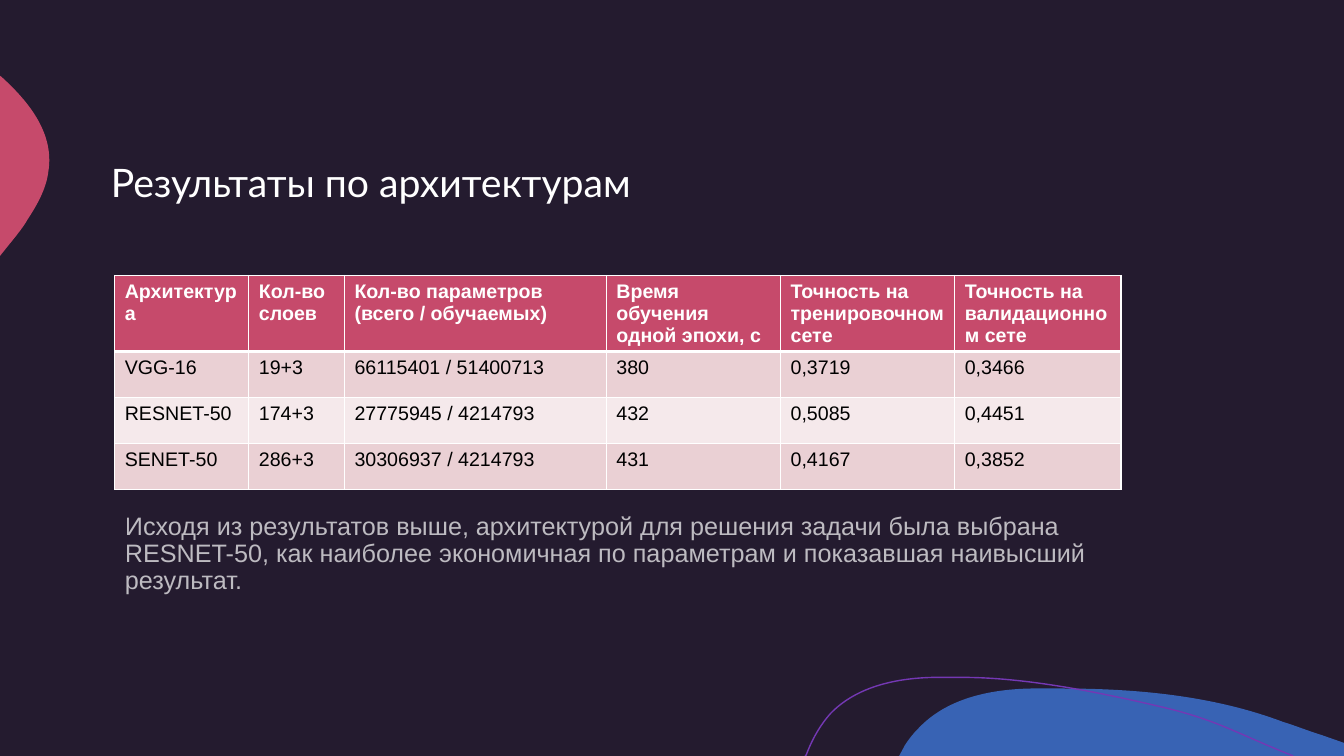
from dataclasses import dataclass

from lxml.etree import Element, SubElement
from pptx import Presentation
from pptx.dml.color import RGBColor
from pptx.enum.text import MSO_ANCHOR, MSO_AUTO_SIZE, PP_ALIGN
from pptx.oxml.ns import qn
from pptx.util import Cm, Pt

NIGHT = RGBColor(0x24, 0x1B, 0x2F)
BLUE = RGBColor(0x38, 0x63, 0xB4)
PINK = RGBColor(0xC6, 0x4A, 0x6B)
PURPLE = RGBColor(0x74, 0x38, 0xB4)
PALE_PINK = RGBColor(0xEA, 0xD0, 0xD4)
LIGHT_PINK = RGBColor(0xF5, 0xE9, 0xEB)
WHITE = RGBColor(0xFF, 0xFF, 0xFF)
BLACK = RGBColor(0x00, 0x00, 0x00)

UNITS_PER_CM = 1000

Point = tuple[float, float]


@dataclass(frozen=True)
class Wave:
    """Outline in cm: one point makes a straight step, three a Bezier curve."""
    start: Point
    steps: list[tuple[Point, ...]]
    fill: RGBColor | None = None
    line: RGBColor | None = None


@dataclass(frozen=True)
class Column:
    width: float
    header: str
    values: tuple[str, str, str]


WAVES = [
    Wave((26.77, 17.35), [
        ((28.65, 17.35), (30.58, 17.53), (32.33, 18.19)),
        ((32.66, 18.29), (32.97, 18.42), (33.3, 18.52)),
        ((33.87, 18.72),), ((33.87, 19.05),), ((22.66, 19.05),), ((22.81, 18.77),),
        ((22.91, 18.62), (23.01, 18.49), (23.14, 18.36)),
        ((23.85, 17.6), (24.94, 17.37), (25.98, 17.35)),
        ((26.24, 17.35), (26.49, 17.35), (26.77, 17.35)),
    ], fill=BLUE),
    Wave((0, 1.91), [
        ((0.03, 1.93),),
        ((0.76, 2.59), (1.37, 3.38), (1.22, 4.32)),
        ((1.17, 4.75), (0.94, 5.16), (0.69, 5.54)),
        ((0.61, 5.69), (0.43, 5.92), (0.2, 6.2)),
        ((0, 6.45),),
    ], fill=PINK),
    Wave((20.29, 19.05), [
        ((20.32, 19.02),),
        ((20.47, 18.62), (20.68, 18.26), (20.93, 17.98)),
        ((21.59, 17.3), (22.58, 17.09), (23.52, 17.07)),
        ((24.26, 17.07),),
        ((25.96, 17.07), (27.94, 17.5), (29.34, 17.83)),
        ((30.71, 18.16), (31.14, 18.47), (32.59, 19.05)),
    ], line=PURPLE),
]

COLUMNS = [
    Column(3.38, "Архитектура", ("VGG-16", "RESNET-50", "SENET-50")),
    Column(2.41, "Кол-во слоев", ("19+3", "174+3", "286+3")),
    Column(6.6, "Кол-во параметров \n(всего / обучаемых)",
           ("66115401 / 51400713", "27775945 / 4214793", "30306937 / 4214793")),
    Column(4.39, "Время обучения одной эпохи, с", ("380", "432", "431")),
    Column(4.39, "Точность на тренировочном сете", ("0,3719", "0,5085", "0,4167")),
    Column(4.19, "Точность на валидационном сете", ("0,3466", "0,4451", "0,3852")),
]
ROW_HEIGHTS = [1.78, 1.16, 1.16, 1.16]
ROW_FILLS = [PINK, PALE_PINK, LIGHT_PINK, PALE_PINK]
HEADER_BORDERS = {"L": 1, "R": 1, "T": 1, "B": 3}

CONCLUSION = (
    "Исходя из результатов выше, архитектурой для решения задачи была выбрана "
    "RESNET-50, как наиболее экономичная по параметрам и показавшая наивысший результат."
)


def write_text(frame, text: str, *, size: float, color: RGBColor, font: str = "Arial",
               bold: bool = False, spacing: float | None = None, opacity: int = 100) -> None:
    para = frame.paragraphs[0]
    para.text = text
    para.alignment = PP_ALIGN.LEFT
    para.line_spacing = spacing
    for span in para.runs:
        span.font.name = font
        span.font.size = Pt(size)
        span.font.bold = bold
        span.font.color.rgb = color
        if opacity < 100:
            tint = span.font._element.find(f".//{qn('a:srgbClr')}")
            SubElement(tint, qn("a:alpha"), val=str(opacity * 1000))


def set_frame(box, left: float, top: float, width: float, height: float) -> None:
    box.left, box.top, box.width, box.height = Cm(left), Cm(top), Cm(width), Cm(height)
    frame = box.text_frame
    frame.word_wrap = True
    frame.auto_size = MSO_AUTO_SIZE.NONE
    frame.vertical_anchor = MSO_ANCHOR.MIDDLE


def to_units(point: Point) -> tuple[int, int]:
    return round(point[0] * UNITS_PER_CM), round(point[1] * UNITS_PER_CM)


def bend_steps(shape, wave: Wave, corner: tuple[int, int]) -> None:
    """Turn the straight steps that have control points into Bezier curves."""
    lines = list(shape._element.iter(qn("a:lnTo")))
    for line, step in zip(lines, wave.steps):
        if len(step) == 1:
            continue
        curve = Element(qn("a:cubicBezTo"))
        for x, y in map(to_units, step):
            SubElement(curve, qn("a:pt"), x=str(x - corner[0]), y=str(y - corner[1]))
        line.addprevious(curve)
        line.getparent().remove(line)


def draw_wave(page, wave: Wave) -> None:
    anchors = [to_units(point) for point in (wave.start, *(step[-1] for step in wave.steps))]
    builder = page.shapes.build_freeform(*anchors[0], scale=Cm(1) / UNITS_PER_CM)
    builder.add_line_segments(anchors[1:], close=wave.fill is not None)
    shape = builder.convert_to_shape()
    bend_steps(shape, wave, (min(x for x, _ in anchors), min(y for _, y in anchors)))
    shape.shadow.inherit = False
    if wave.fill is not None:
        shape.fill.solid()
        shape.fill.fore_color.rgb = wave.fill
    else:
        shape.fill.background()
    if wave.line is not None:
        shape.line.color.rgb = wave.line
        shape.line.width = Pt(1)
    else:
        shape.line.fill.background()


def set_header_borders(cell) -> None:
    properties = cell._tc.get_or_add_tcPr()
    for side, width in HEADER_BORDERS.items():
        border = SubElement(properties, qn(f"a:ln{side}"), w=str(Pt(width)))
        fill = SubElement(border, qn("a:solidFill"))
        SubElement(fill, qn("a:srgbClr"), val=str(WHITE))


def draw_results(page) -> None:
    table = page.shapes.add_table(
        len(ROW_HEIGHTS), len(COLUMNS), Cm(2.89), Cm(6.94),
        Cm(sum(column.width for column in COLUMNS)), Cm(sum(ROW_HEIGHTS))).table
    for row, height in zip(table.rows, ROW_HEIGHTS):
        row.height = Cm(height)
    for column_index, column in enumerate(COLUMNS):
        table.columns[column_index].width = Cm(column.width)
        for row_index, text in enumerate((column.header, *column.values)):
            cell = table.cell(row_index, column_index)
            is_header = row_index == 0
            if is_header:
                set_header_borders(cell)
            cell.fill.solid()
            cell.fill.fore_color.rgb = ROW_FILLS[row_index]
            write_text(cell.text_frame, text, size=14, bold=is_header,
                       color=WHITE if is_header else BLACK)


def main() -> None:
    deck = Presentation()
    deck.slide_width, deck.slide_height = Cm(33.87), Cm(19.05)
    page = deck.slides.add_slide(deck.slide_layouts[5])
    page.background.fill.solid()
    page.background.fill.fore_color.rgb = NIGHT

    # Decorative waves
    for wave in WAVES:
        draw_wave(page, wave)

    # Heading
    title = page.shapes.title
    set_frame(title, 2.54, 2.54, 29.64, 4.24)
    write_text(title.text_frame, "Результаты по архитектурам",
               size=28, color=WHITE, font="Lato", spacing=0.9)

    # Results and conclusion
    draw_results(page)
    conclusion = page.shapes.add_textbox(0, 0, 0, 0)
    set_frame(conclusion, 2.9, 12.62, 25.55, 2.69)
    write_text(conclusion.text_frame, CONCLUSION,
               size=18, color=WHITE, spacing=0.9, opacity=70)

    deck.save("out.pptx")


if __name__ == "__main__":
    main()
